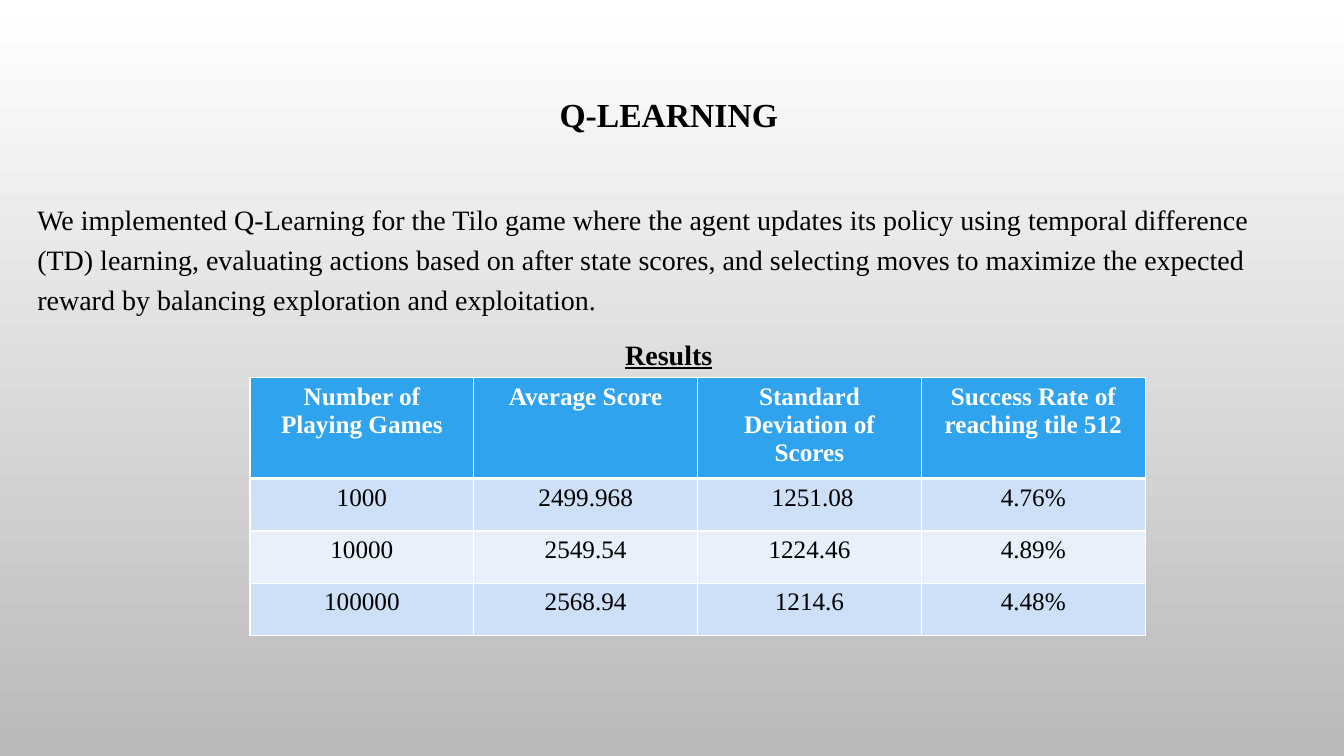
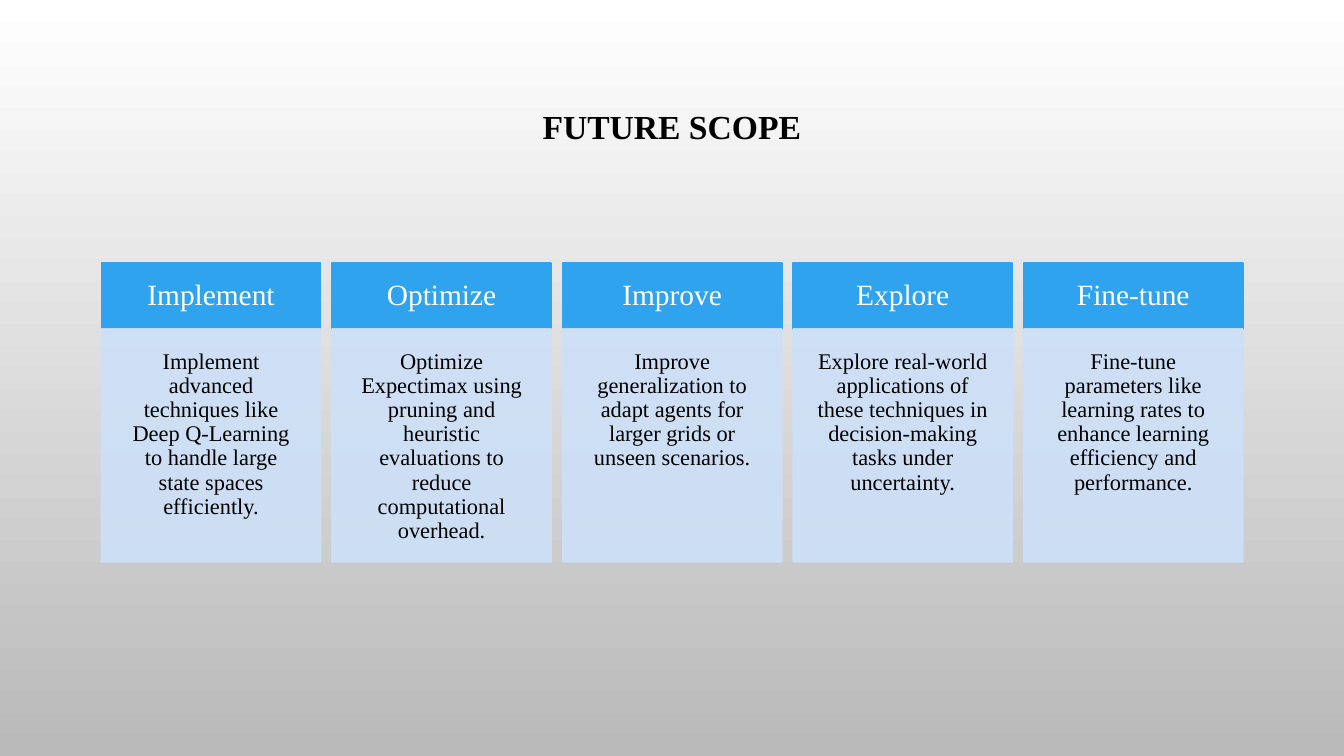
import pptx
import pptx.util
import pptx.dml.color
import pptx.enum.shapes
import pptx.enum.text
import pptx.oxml.ns
import lxml.etree

Cm = pptx.util.Cm
Pt = pptx.util.Pt
RGB = pptx.dml.color.RGBColor
ALIGN = pptx.enum.text.PP_ALIGN
ANCHOR = pptx.enum.text.MSO_ANCHOR
qn = pptx.oxml.ns.qn

# Shared look
FONT = "Times New Roman"
BLACK = RGB(0x00, 0x00, 0x00)
WHITE = RGB(0xFF, 0xFF, 0xFF)
GREY = RGB(0xB9, 0xB9, 0xB9)
BLUE = RGB(0x2F, 0xA3, 0xEE)
PALE = RGB(0xCD, 0xE0, 0xF8)
FAINT = RGB(0xE8, 0xF0, 0xFC)

# Content
INTRO = (
    "We implemented Q-Learning for the Tilo game where the agent updates its "
    "policy using temporal difference (TD) learning, evaluating actions based "
    "on after state scores, and selecting moves to maximize the expected "
    "reward by balancing exploration and exploitation."
)
SCORES = [
    ["Number of Playing Games", "Average Score",
     "Standard Deviation of Scores", "Success Rate of reaching tile 512"],
    ["1000", "2499.968", " 1251.08", "4.76%"],
    ["10000", "2549.54", "1224.46", "4.89%"],
    ["100000", "2568.94", "1214.6", "4.48%"],
]
GOALS = [
    ("Implement", "Implement advanced techniques like Deep Q-Learning to "
                  "handle large state spaces efficiently."),
    ("Optimize", "Optimize Expectimax using pruning and heuristic "
                 "evaluations to reduce computational overhead."),
    ("Improve", "Improve generalization to adapt agents for larger grids "
                "or unseen scenarios."),
    ("Explore", "Explore real-world applications of these techniques in "
                "decision-making tasks under uncertainty."),
    ("Fine-tune", "Fine-tune parameters like learning rates to enhance "
                  "learning efficiency and performance."),
]


def write(para, text, size, color=BLACK, bold=False, line=False,
          align=ALIGN.CENTER, space=None):
    """Add one styled run to a paragraph."""
    para.alignment = align
    if space:
        para.line_spacing = space
    run = para.add_run()
    run.text = text
    font = run.font
    font.name, font.size, font.bold = FONT, Pt(size), bold
    font.underline = line
    font.color.rgb = color


def add_box(slide, left, top, width, height):
    box = slide.shapes.add_textbox(Cm(left), Cm(top), Cm(width), Cm(height))
    box.text_frame.word_wrap = True
    return box.text_frame


def add_title(slide, text, left, width, height):
    frame = add_box(slide, left, 1.73, width, height)
    frame.vertical_anchor = ANCHOR.MIDDLE
    write(frame.paragraphs[0], text, 24, bold=True, space=0.9)


def add_body(slide):
    frame = add_box(slide, 0.69, 4.8, 32.33, 13.67)
    intro, head = frame.paragraphs[0], frame.add_paragraph()
    write(intro, INTRO, 20, align=ALIGN.LEFT, space=1.2)
    write(head, "Results", 20, bold=True, line=True, space=1.2)
    intro.space_before = head.space_before = Pt(10)


def add_edge(cell, side, width):
    """Draw one white cell border; side is L, R, T or B."""
    props = cell._tc.get_or_add_tcPr()
    edge = lxml.etree.SubElement(props, qn("a:ln" + side), w=str(Pt(width)))
    fill = lxml.etree.SubElement(edge, qn("a:solidFill"))
    lxml.etree.SubElement(fill, qn("a:srgbClr"), val=str(WHITE))


def add_table(slide, rows):
    frame = slide.shapes.add_table(len(rows), len(rows[0]), Cm(6.3), Cm(9.52),
                                   Cm(22.58), Cm(6.5))
    table = frame.table
    for col in table.columns:
        col.width = Cm(5.64)
    for r, row in enumerate(rows):
        head = r == 0
        table.rows[r].height = Cm(2.54 if head else 1.32)
        for c, text in enumerate(row):
            cell = table.cell(r, c)
            # Thick rule between the header and the first data row
            for side in "LRTB":
                thick = (r, side) in ((0, "B"), (1, "T"))
                add_edge(cell, side, 3 if thick else 1)
            cell.fill.solid()
            cell.fill.fore_color.rgb = BLUE if head else (FAINT, PALE)[r % 2]
            write(cell.text_frame.paragraphs[0], text, 18,
                  WHITE if head else BLACK, bold=head)


def add_panel(slide, left, top, height, fill, inset, anchor, alpha=None):
    """Add a filled rectangle and return its text frame."""
    panel = slide.shapes.add_shape(
        pptx.enum.shapes.MSO_SHAPE.RECTANGLE,
        Cm(left), Cm(top), Cm(5.52), Cm(height))
    panel.shadow.inherit = False
    panel.fill.solid()
    panel.fill.fore_color.rgb = fill
    panel.line.color.rgb = fill
    panel.line.width = Pt(1.25)
    if alpha:
        for color in panel._element.spPr.iter(qn("a:srgbClr")):
            lxml.etree.SubElement(color, qn("a:alpha"), val=str(alpha * 1000))
    frame = panel.text_frame
    frame.word_wrap = True
    frame.vertical_anchor = anchor
    frame.margin_left = frame.margin_right = Cm(inset)
    frame.margin_top = frame.margin_bottom = Cm(inset)
    return frame


def add_card(slide, left, head, text):
    frame = add_panel(slide, left, 6.63, 1.66, BLUE, 0.42, ANCHOR.MIDDLE)
    write(frame.paragraphs[0], head, 21, WHITE, space=0.9)
    frame = add_panel(slide, left, 8.29, 5.87, PALE, 0.53, ANCHOR.TOP, 90)
    write(frame.paragraphs[0], text, 16, space=0.9)


def set_back(master):
    """Fade the shared background from white down to grey."""
    fill = master.background.fill
    fill.gradient()
    fill.gradient_angle = 270
    for stop, color in zip(fill.gradient_stops, (WHITE, GREY)):
        stop.color.rgb = color
    for stop, place in zip(fill.gradient_stops, (0, 1)):
        stop.position = place


def main():
    deck = pptx.Presentation()
    deck.slide_width, deck.slide_height = Cm(33.87), Cm(19.05)
    set_back(deck.slide_master)
    blank = deck.slide_layouts[6]

    # Q-learning results
    slide = deck.slides.add_slide(blank)
    add_title(slide, "Q-LEARNING", 0.69, 32.33, 2.41)
    add_body(slide)
    add_table(slide, SCORES)

    # Future scope cards
    slide = deck.slides.add_slide(blank)
    add_title(slide, "FUTURE SCOPE", 2.54, 28.78, 3)
    for i, (head, text) in enumerate(GOALS):
        add_card(slide, 2.56 + i * 5.81, head, text)

    deck.save("out.pptx")


if __name__ == "__main__":
    main()
